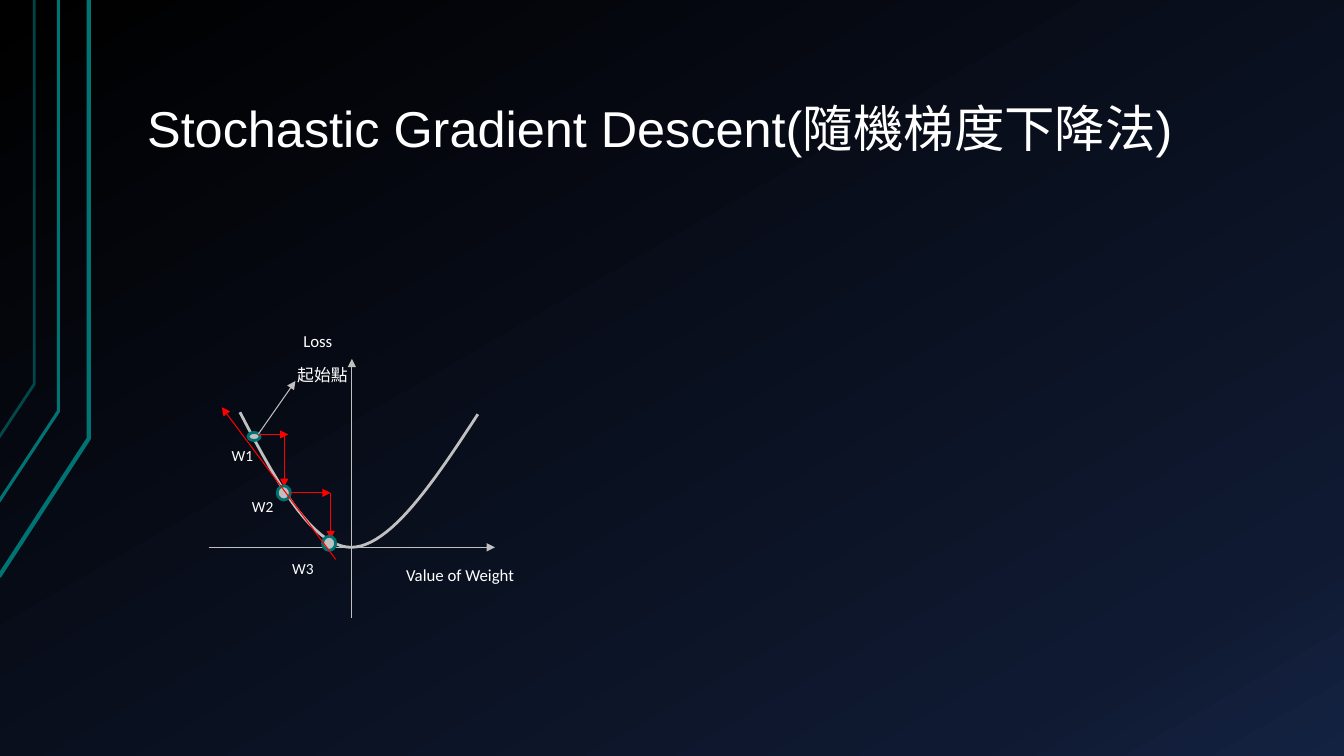
from copy import deepcopy

from lxml import etree
from pptx import Presentation
from pptx.dml.color import RGBColor
from pptx.enum import shapes, text
from pptx.oxml.ns import qn
from pptx.util import Inches, Pt

WHITE = RGBColor(0xFF, 0xFF, 0xFF)
SILVER = RGBColor(0xC0, 0xC0, 0xC0)
RED = RGBColor(0xFF, 0x00, 0x00)
TEAL = RGBColor(0x00, 0x73, 0x73)
DARK_TEAL = RGBColor(0x00, 0x71, 0x71)
BACKGROUND_STOPS = [
    (0, RGBColor(0x00, 0x00, 0x00)),
    (0.85, RGBColor(0x0F, 0x19, 0x31)),
    (1, RGBColor(0x14, 0x22, 0x42)),
]


def paint_background(slide):
    fill = slide.background.fill
    fill.gradient()
    fill.gradient_angle = 300
    stop_list = slide.element.xpath(".//p:bg//a:gsLst")[0]
    stop_list.append(deepcopy(stop_list[-1]))
    for stop, (position, color) in zip(fill.gradient_stops, BACKGROUND_STOPS):
        stop.position = position
        stop.color.rgb = color


def style_line(line, color, width):
    line.color.rgb = color
    line.width = Pt(width)


def format_runs(paragraph, size, font):
    for run in paragraph.runs:
        run.font.size = Pt(size)
        run.font.name = font
        run.font.color.rgb = WHITE


def add_title(slide, wording):
    title = slide.shapes.title
    title.left, title.top = Inches(1.33), Inches(0.3)
    title.width, title.height = Inches(11.33), Inches(1.34)
    frame = title.text_frame
    frame.text = wording
    frame.word_wrap = True
    frame.auto_size = text.MSO_AUTO_SIZE.NONE
    frame.vertical_anchor = text.MSO_ANCHOR.BOTTOM
    frame.margin_left = frame.margin_right = Inches(0.13)
    frame.margin_top = frame.margin_bottom = Inches(0.07)
    paragraph = frame.paragraphs[0]
    paragraph.alignment = text.PP_ALIGN.LEFT
    paragraph.line_spacing = 0.9
    format_runs(paragraph, 36, "Arial")


def add_label(slide, wording, left, top, width, size=12):
    label = slide.shapes.add_textbox(
        Inches(left), Inches(top), Inches(width), Inches(0.3))
    frame = label.text_frame
    frame.text = wording
    frame.word_wrap = True
    frame.auto_size = text.MSO_AUTO_SIZE.SHAPE_TO_FIT_TEXT
    format_runs(frame.paragraphs[0], size, "Calibri")


def add_arrow(slide, start, end, color):
    arrow = slide.shapes.add_connector(
        shapes.MSO_CONNECTOR.STRAIGHT,
        *(Inches(value) for value in (*start, *end)))
    style_line(arrow.line, color, 0.75)
    properties = arrow.element.spPr
    etree.SubElement(properties.find(qn("a:ln")), qn("a:tailEnd"), type="triangle")
    etree.SubElement(properties, qn("a:effectLst"))


def add_outline(slide, points, color, width):
    """Draw an open, unfilled line through the points."""
    start, *rest = [(Inches(x), Inches(y)) for x, y in points]
    builder = slide.shapes.build_freeform(*start)
    builder.add_line_segments(rest, close=False)
    outline = builder.convert_to_shape()
    outline.shadow.inherit = False
    outline.fill.background()
    style_line(outline.line, color, width)
    return outline


def bezier(p0, p1, p2, p3, steps=24):
    """Points along a cubic curve."""
    return [
        tuple((1 - t) ** 3 * a + 3 * (1 - t) ** 2 * t * b
              + 3 * (1 - t) * t ** 2 * c + t ** 3 * d
              for a, b, c, d in zip(p0, p1, p2, p3))
        for t in (step / steps for step in range(steps + 1))
    ]


def add_weight_point(slide, left, top, width, height):
    point = slide.shapes.add_shape(
        shapes.MSO_SHAPE.OVAL,
        Inches(left), Inches(top), Inches(width), Inches(height))
    point.shadow.inherit = False
    point.fill.solid()
    point.fill.fore_color.rgb = SILVER
    style_line(point.line, DARK_TEAL, 2)


def add_side_lines(slide):
    for x, bend, foot, width, opacity in (
        (0.88, 4.35, (-0.01, 5.72), 3, 100),
        (0.58, 4.08, (-0.02, 4.99), 2.25, 100),
        (0.34, 3.81, (-0.01, 4.34), 2, 60),
    ):
        side = add_outline(slide, [foot, (x, bend), (x, 0)], TEAL, width)
        if opacity < 100:
            color = side.element.spPr.find(qn("a:ln")).find(".//" + qn("a:srgbClr"))
            etree.SubElement(color, qn("a:alpha"), val=str(opacity * 1000))


def add_loss_plot(slide):
    add_arrow(slide, (2.07, 5.43), (4.91, 5.43), SILVER)
    add_arrow(slide, (3.49, 6.13), (3.49, 3.56), SILVER)
    bottom = (3.48, 5.43)
    falling = bezier((2.38, 4.09), (2.73, 4.76), (3.09, 5.42), bottom)
    rising = bezier(bottom, (3.87, 5.43), (4.31, 4.77), (4.74, 4.11))
    add_outline(slide, falling + rising[1:], SILVER, 2)
    add_label(slide, "Value of Weight", 3.93, 5.55, 1.42)
    add_label(slide, "Loss", 2.91, 3.23, 1.42)


def add_descent(slide):
    add_weight_point(slide, 2.46, 4.29, 0.12, 0.08)
    add_arrow(slide, (2.56, 4.31), (2.93, 3.78), SILVER)
    add_label(slide, "起始點", 2.85, 3.57, 0.86)
    for start, end in (
        ((2.56, 4.31), (2.86, 4.31)),
        ((2.82, 4.31), (2.82, 4.83)),
    ):
        add_arrow(slide, start, end, RED)
    add_weight_point(slide, 2.75, 4.82, 0.13, 0.14)
    for start, end in (
        ((2.88, 4.89), (3.28, 4.89)),
        ((3.28, 4.89), (3.28, 5.35)),
    ):
        add_arrow(slide, start, end, RED)
    add_weight_point(slide, 3.2, 5.32, 0.13, 0.14)
    for name, left, top in (("W1", 2.2, 4.38), ("W2", 2.4, 4.88), ("W3", 2.8, 5.5)):
        add_label(slide, name, left, top, 0.46, size=11)
    add_arrow(slide, (3.33, 5.55), (2.2, 4.04), RED)


def main():
    deck = Presentation()
    deck.slide_width, deck.slide_height = Inches(13.33), Inches(7.5)
    slide = deck.slides.add_slide(deck.slide_layouts.get_by_name("Title Only"))
    paint_background(slide)
    add_side_lines(slide)
    add_title(slide, "Stochastic Gradient Descent(隨機梯度下降法)")
    add_loss_plot(slide)
    add_descent(slide)
    deck.save("out.pptx")


if __name__ == "__main__":
    main()
